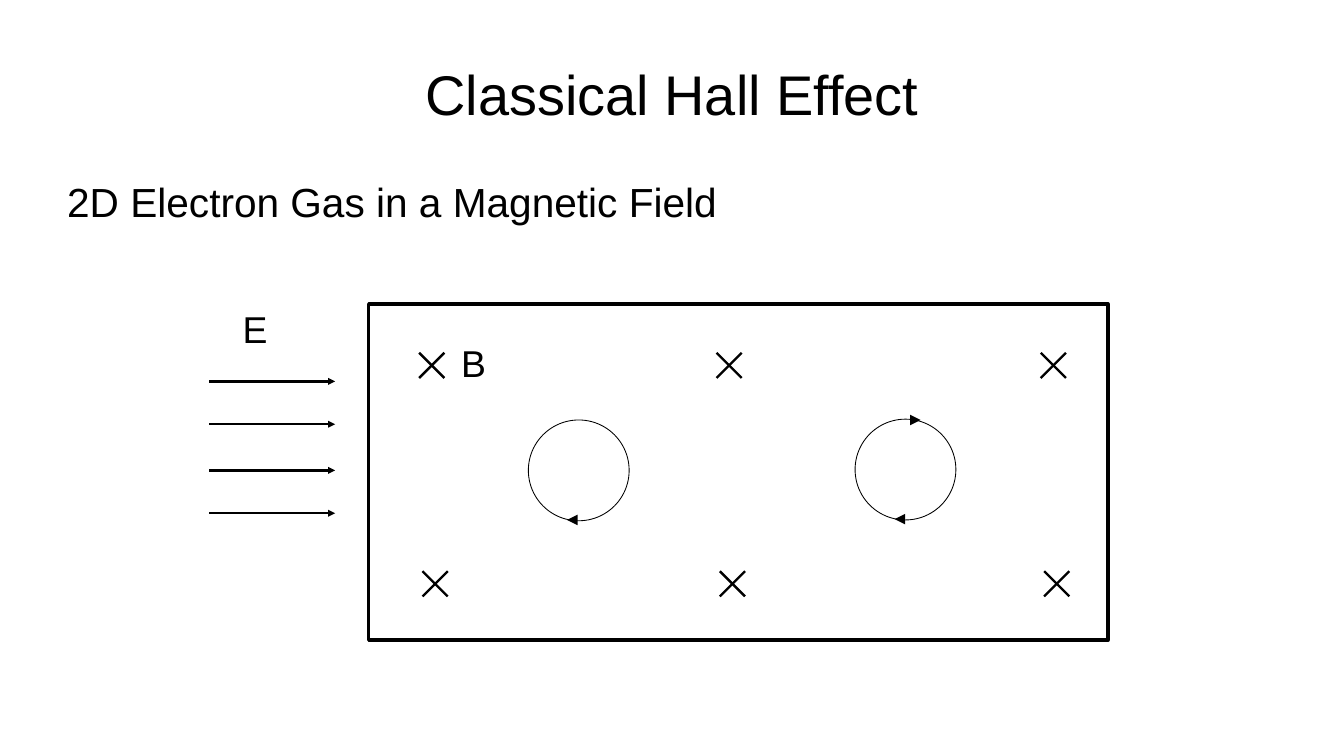
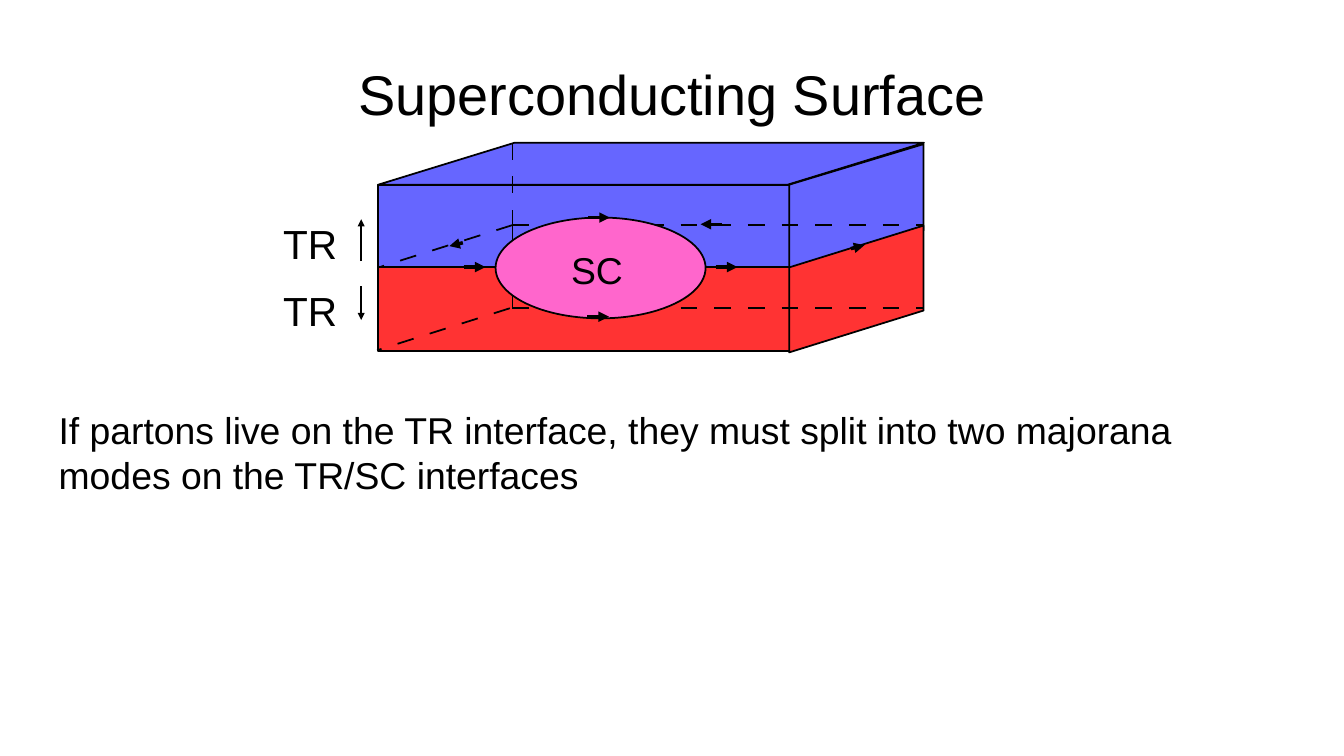
import pptx
import pptx.dml.color
import pptx.enum.shapes
import pptx.enum.text
import pptx.oxml
import pptx.oxml.ns
import pptx.util
from dataclasses import dataclass
from itertools import product

EMU_PER_PX = 9144  # 100 px to the inch
SHAPE = pptx.enum.shapes.MSO_SHAPE
ALIGN = pptx.enum.text.PP_ALIGN
ANCHOR = pptx.enum.text.MSO_ANCHOR


@dataclass(frozen=True)
class Theme:
    font: str = "Arial"
    ink: str = "000000"
    paper: str = "FFFFFF"
    upper: str = "6666FF"
    lower: str = "FF3333"
    island: str = "FF66CC"
    title: float = 47.9
    body: float = 34.8
    label: float = 32
    hairline: float = 0
    edge: float = 1.5
    heavy: float = 3


THEME = Theme()
TITLE_BOX = (80, 36, 1440, 150)
NO_INSET = (0, 0, 0, 0)
LABEL_INSET = (10, 5, 10, 5)

# Hall effect: Hall bar in a field B, driven by a field E
HALL_BAR = (439, 362, 880, 400)
CROSS_SIZE = 30
CROSS_COLUMNS = (499, 853, 1239)
CROSS_ROWS = ((420, 0), (680, 4))  # top, shift to the right
ORBIT_SIZE = 120
ORBITS = ((629, 500), (1018, 499))
ORBIT_ARROWS = [
    (685, 619, 675, 619),
    (1075, 618, 1065, 618),
    (1086, 500, 1096, 500),
]
E_FIELD_LEFT, E_FIELD_RIGHT = 249, 399
E_FIELD_ROWS = (454, 505, 560, 611)
HALL_LABELS = [("B", (539, 400, 180, 60)), ("E", (279, 360, 180, 60))]

# Superconducting surface: two stacked slabs with an island at the interface
# preset, box, fill, adjustment, seen from the side
SLAB_FACES = [
    (SHAPE.RECTANGLE, (450, 220, 490, 100), THEME.upper, None, False),
    (SHAPE.PARALLELOGRAM, (450, 170, 650, 50), THEME.upper, 3.25, False),
    (SHAPE.PARALLELOGRAM, (944, 167, 151, 160), THEME.upper, 0.32, True),
    (SHAPE.RECTANGLE, (450, 318, 490, 100), THEME.lower, None, False),
    (SHAPE.PARALLELOGRAM, (944, 264, 151, 160), THEME.lower, 0.33, True),
]
HIDDEN_EDGES = [
    (610, 268, 452, 318),
    (610, 170, 610, 268),
    (610, 268, 1100, 268),
    (610, 367, 1100, 367),
    (610, 268, 610, 367),
    (607, 367, 449, 417),
]
ISLAND = (590, 259, 250, 120)
EDGE_MODES = [
    (860, 267, 834, 267),
    (1013, 296, 1029, 292),
    (551, 289, 535, 293),
    (552, 318, 578, 318),
    (700, 259, 726, 259),
    (699, 377, 725, 377),
    (852, 318, 878, 318),
]
MAGNETIZATION = [(430, 311, 430, 261), (430, 341, 430, 381)]
SURFACE_LABELS = [
    ("SC", (670, 289, 320, 60)),
    ("If partons live on the TR interface, they must split into two majorana "
     "modes on the TR/SC interfaces", (60, 480, 1420, 110)),
]


def px(length):
    return pptx.util.Emu(length * EMU_PER_PX)


def rgb(value):
    return pptx.dml.color.RGBColor.from_string(value)


def add_text(slide, paragraphs, box, size, inset=NO_INSET, align=ALIGN.LEFT,
             anchor=ANCHOR.TOP, space_after=0):
    frame = slide.shapes.add_textbox(*map(px, box)).text_frame
    frame.word_wrap = True
    frame.vertical_anchor = anchor
    (frame.margin_left, frame.margin_top,
     frame.margin_right, frame.margin_bottom) = map(px, inset)
    for index, text in enumerate(paragraphs):
        paragraph = frame.add_paragraph() if index else frame.paragraphs[0]
        paragraph.alignment = align
        paragraph.space_after = pptx.util.Pt(space_after)
        run = paragraph.add_run()
        run.text = text
        run.font.name = THEME.font
        run.font.size = pptx.util.Pt(size)
        run.font.color.rgb = rgb(THEME.ink)


def add_body(slide, paragraphs, box, inset=NO_INSET):
    add_text(slide, paragraphs, box, THEME.body, inset, space_after=15.4)


def add_labels(slide, labels):
    for text, box in labels:
        add_text(slide, [text], box, THEME.label, LABEL_INSET)


def add_outlined(slide, preset, box, fill, width):
    shape = slide.shapes.add_shape(preset, *map(px, box))
    shape.shadow.inherit = False
    shape.fill.solid()
    shape.fill.fore_color.rgb = rgb(fill)
    shape.line.color.rgb = rgb(THEME.ink)
    shape.line.width = pptx.util.Pt(width)
    return shape


def add_line(slide, ends, width, arrow=False, dashed=False):
    connector = slide.shapes.add_connector(
        pptx.enum.shapes.MSO_CONNECTOR.STRAIGHT, *map(px, ends))
    connector.line.color.rgb = rgb(THEME.ink)
    connector.line.width = pptx.util.Pt(width)
    properties = connector.element.spPr
    outline = connector.line._get_or_add_ln()
    namespace = pptx.oxml.ns.nsdecls("a")
    if dashed:
        outline.append(pptx.oxml.parse_xml(
            f'<a:custDash {namespace}><a:ds d="960000" sp="960000"/></a:custDash>'))
    if arrow:
        outline.append(pptx.oxml.parse_xml(f'<a:tailEnd {namespace} type="triangle"/>'))
    properties.append(pptx.oxml.parse_xml(f"<a:effectLst {namespace}/>"))


def add_titled_slide(deck, title):
    slide = deck.slides.add_slide(deck.slide_layouts[6])
    slide.background.fill.solid()
    slide.background.fill.fore_color.rgb = rgb(THEME.paper)
    add_text(slide, [title], TITLE_BOX, THEME.title,
             align=ALIGN.CENTER, anchor=ANCHOR.MIDDLE)
    return slide


def build_hall_effect(deck):
    slide = add_titled_slide(deck, "Classical Hall Effect")
    add_body(slide, ["2D Electron Gas in a Magnetic Field"], (80, 211, 1440, 657))
    add_outlined(slide, SHAPE.RECTANGLE, HALL_BAR, THEME.paper, THEME.heavy)
    for (top, shift), column in product(CROSS_ROWS, CROSS_COLUMNS):
        left, bottom = column + shift, top + CROSS_SIZE
        right = left + CROSS_SIZE
        add_line(slide, (right, top, left, bottom), THEME.hairline)
        add_line(slide, (right, bottom, left, top), THEME.hairline)
    for left, top in ORBITS:
        add_outlined(slide, SHAPE.OVAL, (left, top, ORBIT_SIZE, ORBIT_SIZE),
                     THEME.paper, THEME.hairline)
    for ends in ORBIT_ARROWS:
        add_line(slide, ends, THEME.heavy, arrow=True)
    for row in E_FIELD_ROWS:
        add_line(slide, (E_FIELD_LEFT, row, E_FIELD_RIGHT, row),
                 THEME.hairline, arrow=True)
    add_labels(slide, HALL_LABELS)


def build_superconducting_surface(deck):
    slide = add_titled_slide(deck, "Superconducting Surface")
    for preset, box, fill, slant, sideways in SLAB_FACES:
        face = add_outlined(slide, preset, box, fill, THEME.edge)
        if slant:
            face.adjustments[0] = slant
        if sideways:
            face.rotation = 90
            face.element.spPr.xfrm.set("flipV", "1")
    for ends in HIDDEN_EDGES:
        add_line(slide, ends, THEME.edge, dashed=True)
    add_outlined(slide, SHAPE.OVAL, ISLAND, THEME.island, THEME.edge)
    for ends in EDGE_MODES:
        add_line(slide, ends, THEME.heavy, arrow=True)
    for ends in MAGNETIZATION:
        add_line(slide, ends, THEME.hairline, arrow=True)
    add_body(slide, ["TR", "TR"], (290, 261, 260, 224), inset=(47, 0, 0, 0))
    add_labels(slide, SURFACE_LABELS)


def main():
    deck = pptx.Presentation()
    deck.slide_width, deck.slide_height = px(1600), px(900)
    build_hall_effect(deck)
    build_superconducting_surface(deck)
    deck.save("out.pptx")


if __name__ == "__main__":
    main()
